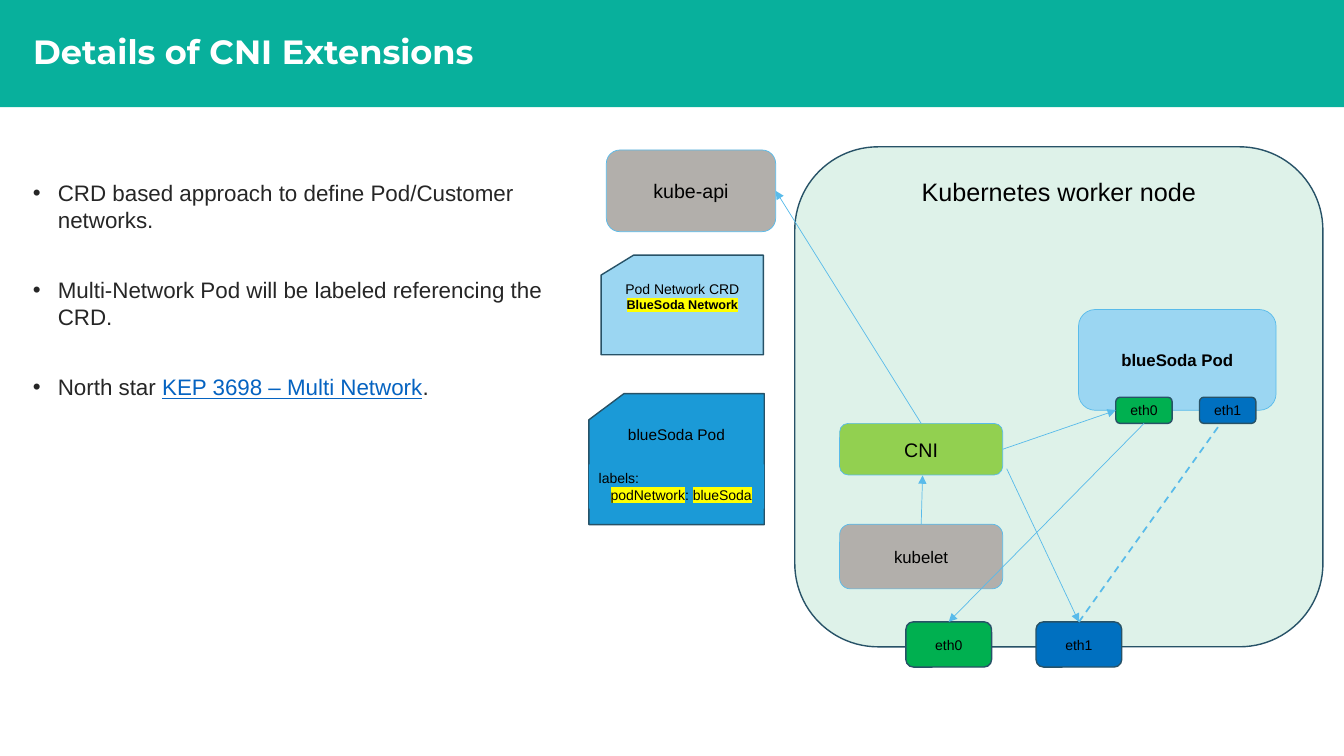
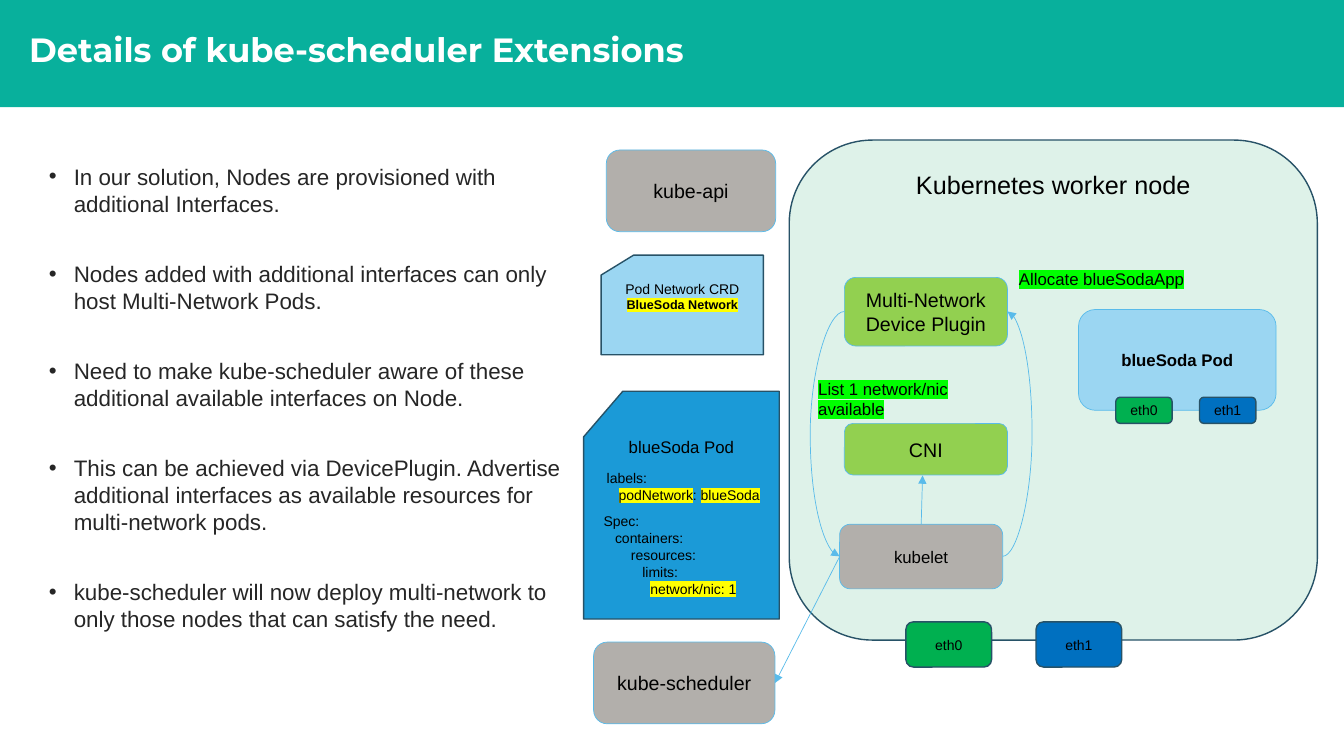
from lxml.etree import SubElement
from pptx import Presentation
from pptx.dml.color import RGBColor
from pptx.enum.dml import MSO_LINE
from pptx.enum.shapes import MSO_CONNECTOR, MSO_SHAPE
from pptx.enum.text import MSO_ANCHOR, MSO_AUTO_SIZE, PP_ALIGN
from pptx.oxml.ns import qn
from pptx.util import Cm, Pt

COLORS = {
    "band": "08B09C", "white": "FFFFFF", "black": "000000", "body": "262626",
    "link": "0563C1", "node": "DEF2E9", "outline": "275267", "edge": "59BBEA",
    "gray": "B2AFAB", "lime": "92D050", "sky": "9BD6F2", "blue": "1B9AD7",
    "eth0": "00B050", "eth1": "0070C0", "yellow": "FFFF00", "green": "00FF00",
}
TOP, LEFT, BOTTOM, RIGHT = range(4)
MARK = {"highlight": "yellow"}


def color(name):
    return RGBColor.from_string(COLORS[name])


def format_run(run, size=12, font="Arial", ink="black", bold=False,
               underline=False, highlight=None):
    run.font.size = Pt(size)
    run.font.name = font
    run.font.bold = bold
    run.font.underline = underline
    run.font.color.rgb = color(ink)
    if highlight:
        properties = run.font.fill._xPr
        mark = SubElement(properties, qn("a:highlight"))
        SubElement(mark, qn("a:srgbClr")).set("val", COLORS[highlight])
        properties.find(qn("a:solidFill")).addnext(mark)


def write(shape, paragraphs, align=PP_ALIGN.LEFT, anchor=MSO_ANCHOR.TOP,
          indents=(), bullet=False, **run_format):
    frame = shape.text_frame
    frame.word_wrap = True
    frame.auto_size = MSO_AUTO_SIZE.NONE
    frame.vertical_anchor = anchor
    for index, parts in enumerate(paragraphs):
        paragraph = frame.add_paragraph() if index else frame.paragraphs[0]
        paragraph.alignment = align
        properties = paragraph._p.get_or_add_pPr()
        if indents:
            properties.set("marL", str(Cm(indents[index])))
        if bullet:
            paragraph.space_after = Pt(31)
            properties.set("marL", str(Cm(0.63)))
            properties.set("indent", str(Cm(-0.63)))
            SubElement(properties, qn("a:buFont")).set("typeface", "Arial")
            SubElement(properties, qn("a:buChar")).set("char", "•")
        for part in [parts] if isinstance(parts, str) else parts:
            text, changes = (part, {}) if isinstance(part, str) else part
            run = paragraph.add_run()
            run.text = text
            format_run(run, **{**run_format, **changes})
    return shape


def add_box(slide, box, fill, line=None, width=0.5, kind=MSO_SHAPE.ROUNDED_RECTANGLE):
    shape = slide.shapes.add_shape(kind, *map(Cm, box))
    shape.shadow.inherit = False
    shape.fill.solid()
    shape.fill.fore_color.rgb = color(fill)
    if line:
        shape.line.color.rgb = color(line)
        shape.line.width = Pt(width)
    else:
        shape.line.fill.background()
    return shape


def add_label(slide, box, paragraphs, **text_format):
    return write(slide.shapes.add_textbox(*map(Cm, box)), paragraphs, **text_format)


def add_component(slide, box, fill, *lines, line="edge", width=0.5, **run_format):
    shape = add_box(slide, box, fill, line, width)
    return write(shape, lines, align=PP_ALIGN.CENTER, anchor=MSO_ANCHOR.MIDDLE,
                 **run_format)


def add_card(slide, box, fill, paragraphs, **run_format):
    shape = add_box(slide, box, fill, "outline", 1, MSO_SHAPE.FLOWCHART_CARD)
    return write(shape, paragraphs, align=PP_ALIGN.CENTER, **run_format)


def add_link(slide, start, end, width=0.5, arrow=True, via=None):
    ends = [point if isinstance(point[0], (int, float)) else (0, 0)
            for point in (start, end)]
    kind = MSO_CONNECTOR.CURVE if via else MSO_CONNECTOR.STRAIGHT
    link = slide.shapes.add_connector(kind, *[Cm(n) for point in ends for n in point])
    if not isinstance(start[0], (int, float)):
        link.begin_connect(*start)
    if not isinstance(end[0], (int, float)):
        link.end_connect(*end)
    link.line.color.rgb = color("edge")
    link.line.width = Pt(width)
    if arrow:
        SubElement(link.line._get_or_add_ln(), qn("a:tailEnd")).set("type", "triangle")
    else:
        link.line.dash_style = MSO_LINE.DASH
    properties = link._element.spPr
    SubElement(properties, qn("a:effectLst"))
    if via:
        ratio = (via - start[0]) / (end[0] - start[0])
        values = properties.find(qn("a:prstGeom")).get_or_add_avLst()
        guide = SubElement(values, qn("a:gd"))
        guide.set("name", "adj1")
        guide.set("fmla", f"val {round(ratio * 100000)}")
    return link


def add_header(slide, left, top, text):
    band = add_box(slide, (0, 0, 33.87, 2.7), "band", kind=MSO_SHAPE.RECTANGLE)
    title = slide.shapes.title
    title._element.addprevious(band._element)
    title.left, title.top, title.width, title.height = map(Cm, (left, top, 21.77, 1.27))
    write(title, [text], anchor=MSO_ANCHOR.MIDDLE, size=24, font="Montserrat",
          ink="white", bold=True)


def add_bullets(slide, box, paragraphs):
    add_label(slide, box, paragraphs, bullet=True, size=16, ink="body")


def add_ports(slide, left, top, width, height, step):
    return [add_component(slide, (left + index * step, top, width, height), name, name,
                          line="outline", width=1, size=10)
            for index, name in enumerate(("eth0", "eth1"))]


def add_network_pod(slide, left, top):
    add_component(slide, (left, top, 4.98, 2.54), "sky", "blueSoda Pod", bold=True)
    return add_ports(slide, left + 0.94, top + 2.21, 1.42, 0.66, 2.11)


def add_worker_node(slide, left, top, cni_left):
    node = add_box(slide, (left, top, 13.31, 12.6), "node", "outline", 1)
    write(node, ["Kubernetes worker node"], align=PP_ALIGN.CENTER, size=18)
    kubelet = add_component(slide, (21.16, 13.21, 4.11, 1.63), "gray", "kubelet")
    cni = add_component(slide, (cni_left, 10.67, 4.11, 1.3), "lime", "CNI", size=14)
    add_link(slide, (kubelet, TOP), (23.25, 11.98))
    return {
        "kubelet": kubelet,
        "cni": cni,
        "pod_ports": add_network_pod(slide, 27.18, 7.8),
        "host_ports": add_ports(slide, 22.83, 15.67, 2.16, 1.14, 3.28),
    }


def add_control_plane(slide, left, top):
    add_card(slide, (left, top + 2.65, 4.09, 2.51), "sky",
             ["Pod Network CRD",
              [("BlueSoda Network", {"size": 9, "bold": True, **MARK})]], size=10)
    return add_component(slide, (left + 0.13, top, 4.27, 2.06), "gray", "kube-api", size=14)


def add_pod_labels(shape):
    write(shape, ["labels:", [("podNetwork", MARK), ": ", ("blueSoda", MARK)]],
          indents=(0, 0.3), size=10)


def add_pod_manifest(slide, left, top):
    add_card(slide, (left, top, 4.42, 3.3), "blue", ["blueSoda Pod"], size=11)
    add_pod_labels(add_box(slide, (left, top + 1.78, 4.42, 1.12), "blue",
                           kind=MSO_SHAPE.RECTANGLE))


def add_full_manifest(slide, left, top):
    card = add_card(slide, (left, top, 4.93, 5.74), "blue", ["blueSoda Pod"], size=12)
    card.text_frame.margin_top = 0
    add_label(slide, (left + 0.25, top + 2.94, 4.47, 2.39),
              ["Spec:", "containers:", "resources:", "limits:",
               [("network/nic: 1", MARK)]],
              indents=(0, 0.29, 0.69, 0.98, 1.18), size=10)
    add_pod_labels(slide.shapes.add_textbox(
        *map(Cm, (left + 0.33, top + 1.85, 4.6, 1.12))))


def build_cni_slide(slide):
    add_header(slide, 0.58, 0.66, "Details of CNI Extensions")
    add_bullets(slide, (0.58, 4.39, 14.25, 13.21), [
        "CRD based approach to define Pod/Customer networks.",
        "Multi-Network Pod will be labeled referencing the CRD.",
        ["North star ",
         ("KEP 3698 – Multi Network", {"ink": "link", "underline": True}), "."],
    ])
    node = add_worker_node(slide, 20.03, 3.7, 21.16)
    kube_api = add_control_plane(slide, 15.15, 3.78)
    add_pod_manifest(slide, 14.84, 9.92)
    cni = node["cni"]
    pod_eth0 = node["pod_ports"][0]
    host_eth0, host_eth1 = node["host_ports"]
    add_link(slide, (cni, TOP), (kube_api, RIGHT))
    add_link(slide, (cni, RIGHT), (pod_eth0, LEFT))
    add_link(slide, (25.37, 11.81), (host_eth1, TOP))
    add_link(slide, (host_eth1, TOP), (30.76, 10.67), width=1.25, arrow=False)
    add_link(slide, (pod_eth0, BOTTOM), (host_eth0, TOP))


def build_scheduler_slide(slide):
    add_header(slide, 0.48, 0.6, "Details of kube-scheduler Extensions")
    add_bullets(slide, (0.98, 3.98, 14.1, 12.6), [
        "In our solution, Nodes are provisioned with additional Interfaces.",
        "Nodes added with additional interfaces can only host Multi-Network Pods.",
        "Need to make kube-scheduler aware of these additional available interfaces on Node.",
        "This can be achieved via DevicePlugin. Advertise additional interfaces as "
        "available resources for multi-network pods.",
        "kube-scheduler will now deploy multi-network to only those nodes that can "
        "satisfy the need.",
    ])
    node = add_worker_node(slide, 19.89, 3.53, 21.28)
    add_control_plane(slide, 15.15, 3.78)
    add_full_manifest(slide, 14.71, 9.86)
    add_component(slide, (21.28, 6.99, 4.11, 1.73), "lime",
                  "Multi-Network", "Device Plugin", size=14)
    scheduler = add_component(slide, (14.96, 16.18, 4.57, 2.06), "gray",
                              "kube-scheduler", size=14)
    add_link(slide, (21.28, 7.85), (21.16, 14.02), via=20.42)
    add_link(slide, (25.27, 14.02), (25.39, 7.85), via=26.01)
    add_link(slide, (node["kubelet"], LEFT), (scheduler, RIGHT))
    add_label(slide, (20.37, 9.42, 4.6, 1.27), ["List 1 network/nic available"],
              highlight="green")
    add_label(slide, (25.43, 6.65, 4.98, 0.76), ["Allocate blueSodaApp"],
              highlight="green")


def main():
    presentation = Presentation()
    presentation.slide_width = Cm(33.87)
    presentation.slide_height = Cm(19.05)
    title_only = presentation.slide_layouts[5]
    for build in (build_cni_slide, build_scheduler_slide):
        build(presentation.slides.add_slide(title_only))
    presentation.save("out.pptx")


if __name__ == "__main__":
    main()
